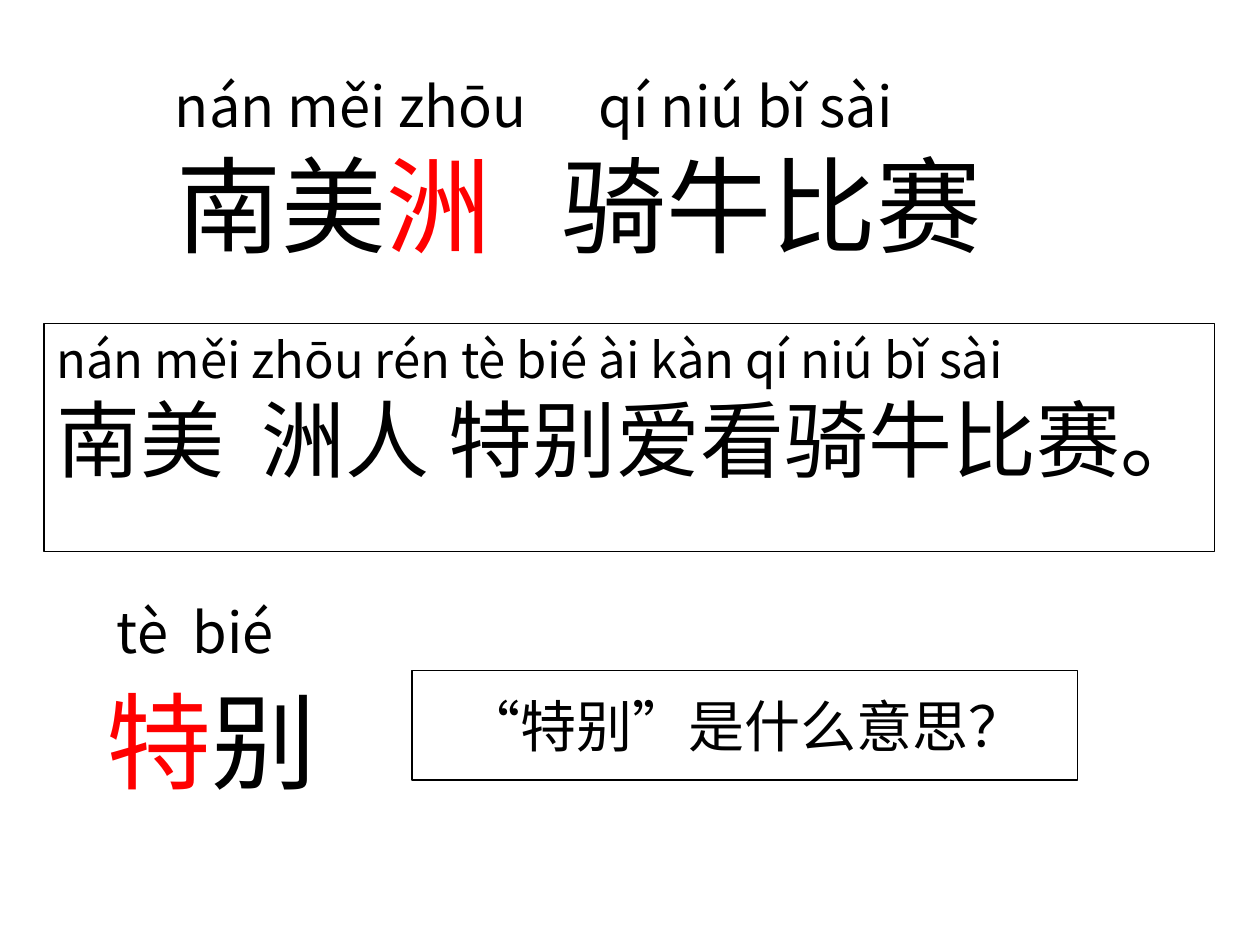
"""Build a Chinese vocabulary slide with pinyin above the words."""
from dataclasses import dataclass
from typing import Optional

from lxml.etree import SubElement as Sub
from pptx import Presentation as Deck
from pptx.dml.color import RGBColor as Color
from pptx.enum.lang import MSO_LANGUAGE_ID as Lang
from pptx.enum.shapes import MSO_SHAPE as Kind
from pptx.enum.text import MSO_ANCHOR as Anchor, MSO_AUTO_SIZE as Fit, PP_ALIGN as Align
from pptx.oxml.ns import qn
from pptx.util import Inches, Pt


@dataclass(frozen=True)
class Theme:
    ink: Color = Color(0, 0, 0)
    red: Color = Color(255, 0, 0)
    sans: str = "Noto Sans CJK SC"
    latin: str = "Arial"
    word: int = 60
    line: int = 48
    sound: int = 32
    small: int = 28
    rule: float = 0.75


look = Theme()


@dataclass(frozen=True)
class Piece:
    text: str
    color: Color = look.ink


@dataclass(frozen=True)
class Box:
    left: float
    top: float
    width: float
    height: float
    size: int
    font: str
    words: tuple[Piece, ...]
    tab: Optional[float] = None
    frame: bool = False
    align: Align = Align.LEFT


BOXES = (
    Box(1.3, 1.07, 7.88, 1.1, look.word, look.sans,
        (Piece("南美"), Piece("洲", look.red), Piece("\t骑牛比赛")), 3.06),
    Box(1.29, 0.52, 7.41, 0.64, look.sound, look.sans,
        (Piece("nán měi zhōu\tqí niú bǐ sài"),), 3.36),
    Box(0.35, 2.57, 9.29, 1.81, look.line, look.latin,
        (Piece("南美\t洲人 特别爱看骑牛比赛。"),), 1.63, True),
    Box(0.35, 2.57, 9.21, 0.57, look.small, look.sans,
        (Piece("nán měi zhōu rén tè bié ài kàn qí niú bǐ sài"),)),
    Box(0.83, 4.69, 1.97, 0.64, look.sound, look.sans, (Piece("tè\tbié"),), 0.6),
    Box(0.75, 5.32, 2.12, 1.1, look.word, look.latin,
        (Piece("特", look.red), Piece("别"))),
    Box(3.27, 5.32, 5.28, 0.87, look.sound, look.latin,
        (Piece("“特别”是什么意思？"),), frame=True, align=Align.CENTER),
)


def add_piece(para, piece: Piece, box: Box) -> None:
    """Add one run in the font and size of its box."""
    run = para.add_run()
    run.text = piece.text
    font = run.font
    font.size = Pt(box.size)
    font.color.rgb = piece.color
    font.name = box.font
    font.language_id = Lang.SIMPLIFIED_CHINESE
    Sub(font._element, qn("a:ea"), typeface=look.sans)


def add_box(slide, box: Box) -> None:
    """Draw a plain or framed text box."""
    place = [Inches(n) for n in (box.left, box.top, box.width, box.height)]
    if box.frame:
        shape = slide.shapes.add_shape(Kind.RECTANGLE, *place)
        shape.shadow.inherit = False
        shape.fill.background()
        shape.line.color.rgb = look.ink
        shape.line.width = Pt(look.rule)
    else:
        shape = slide.shapes.add_textbox(*place)
    frame = shape.text_frame
    frame.word_wrap = not box.frame
    frame.auto_size = Fit.NONE
    frame.vertical_anchor = Anchor.MIDDLE if box.frame else Anchor.TOP
    para = frame.paragraphs[0]
    para.alignment = box.align
    if box.tab is not None:
        stops = Sub(para._p.get_or_add_pPr(), qn("a:tabLst"))
        Sub(stops, qn("a:tab"), pos=str(Inches(box.tab)), algn="l")
    for piece in box.words:
        add_piece(para, piece, box)


def main() -> None:
    """Build and save the slide."""
    deck = Deck()
    deck.slide_width, deck.slide_height = Inches(10), Inches(7.5)
    slide = deck.slides.add_slide(deck.slide_layouts[6])
    for box in BOXES:
        add_box(slide, box)
    deck.save("out.pptx")


if __name__ == "__main__":
    main()
